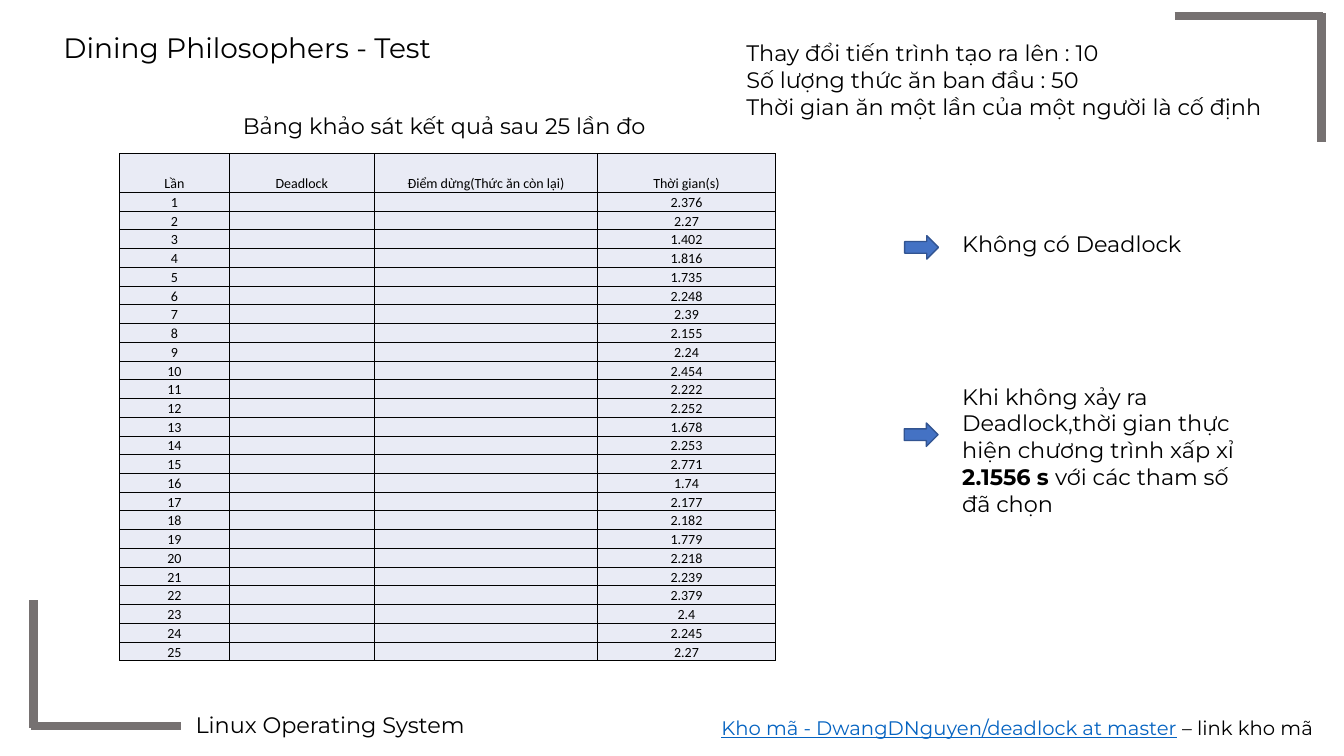
from lxml import etree
from pptx import Presentation
from pptx.dml.color import RGBColor
from pptx.enum import shapes, text
from pptx.oxml import ns
from pptx.util import Cm, Pt

FONT = "Montserrat"
TIMES = ["2.376", "2.27", "1.402", "1.816", "1.735", "2.248", "2.39", "2.155", "2.24",
         "2.454", "2.222", "2.252", "1.678", "2.253", "2.771", "1.74", "2.177", "2.182",
         "1.779", "2.218", "2.239", "2.379", "2.4", "2.245", "2.27"]
HEADERS = ["Lần", "Deadlock", "Điểm dừng(Thức ăn còn lại)", "Thời gian(s)"]


def rgb(value):
    return RGBColor.from_string(value)


def style(font, size, name=FONT, color="000000"):
    font.size, font.name = Pt(size), name
    font.color.rgb = rgb(color)


def add_corner(s, *lines):
    """Group the thick lines that form one corner of the frame."""
    grp = s.shapes.add_group_shape()
    for ends in lines:
        line = grp.shapes.add_connector(shapes.MSO_CONNECTOR.STRAIGHT, *map(Cm, ends))
        line.line.color.rgb = rgb("767171")
        line.line.width = Pt(6)
        etree.SubElement(line._element.spPr, ns.qn("a:effectLst"))


def add_text(s, x, y, w, h, *paragraphs, size=16):
    """Add a text box; each paragraph is a list of run texts. Return the runs."""
    tf = s.shapes.add_textbox(Cm(x), Cm(y), Cm(w), Cm(h)).text_frame
    tf.word_wrap = True
    tf.auto_size = text.MSO_AUTO_SIZE.SHAPE_TO_FIT_TEXT
    runs = []
    for i, parts in enumerate(paragraphs):
        p = tf.add_paragraph() if i else tf.paragraphs[0]
        style(p.font, size)
        for part in parts:
            r = p.add_run()
            r.text = part
            runs.append(r)
    return runs


def add_arrow(s, x, y):
    sp = s.shapes.add_shape(shapes.MSO_SHAPE.RIGHT_ARROW, Cm(x), Cm(y), Cm(0.85), Cm(0.59))
    sp.shadow.inherit = False
    sp.fill.solid()
    sp.fill.fore_color.rgb = rgb("4472C4")
    sp.line.color.rgb = rgb("325491")
    sp.line.width = Pt(1)


def border_cell(cell):
    tcPr = cell._tc.get_or_add_tcPr()
    for i, side in enumerate(("lnL", "lnR", "lnT", "lnB")):
        ln = etree.Element(ns.qn(f"a:{side}"), w=str(Pt(0.75)))
        fill = etree.SubElement(ln, ns.qn("a:solidFill"))
        etree.SubElement(fill, ns.qn("a:srgbClr"), val="000000")
        tcPr.insert(i, ln)


def fill_cell(cell, value):
    cell.fill.solid()
    cell.fill.fore_color.rgb = rgb("E9EBF5")
    border_cell(cell)
    cell.margin_left = cell.margin_right = cell.margin_top = Cm(0.02)
    cell.margin_bottom = 0
    cell.vertical_anchor = text.MSO_ANCHOR.BOTTOM
    p = cell.text_frame.paragraphs[0]
    p.alignment = text.PP_ALIGN.CENTER
    style(p.font, 10, "Calibri")
    if value:
        p.add_run().text = value
    else:  # keeps an empty row as low as a filled one
        etree.SubElement(p._p, ns.qn("a:endParaRPr"), sz="1000")


def add_results(s, x, y, widths, header_height, height):
    rows = [HEADERS] + [[str(n), "", "", t] for n, t in enumerate(TIMES, 1)]
    table = s.shapes.add_table(len(rows), len(widths), Cm(x), Cm(y),
                               Cm(sum(widths)), Cm(height)).table
    for column, width in zip(table.columns, widths):
        column.width = Cm(width)
    for i, row in enumerate(rows):
        table.rows[i].height = Cm((height - header_height) / len(TIMES) if i else header_height)
        for j, value in enumerate(row):
            fill_cell(table.cell(i, j), value)


def main():
    prs = Presentation()
    prs.slide_width, prs.slide_height = Cm(33.87), Cm(19.05)
    s = prs.slides.add_slide(prs.slide_layouts[6])

    # Frame corners
    add_corner(s, (29.6, 0.41, 33.35, 0.41), (33.3, 0.33, 33.3, 3.57))
    add_corner(s, (4.55, 18.29, 0.79, 18.29), (0.84, 18.34, 0.84, 15.11))

    # Title, footer and test parameters
    add_text(s, 4.68, 17.8, 16.99, 0.94, ["Linux Operating System"])
    add_text(s, 1.35, 0.64, 11.15, 1.12, ["Dining Philosophers - Test"], size=20)
    add_text(s, 18.56, 0.86, 14.4, 2.31,
             ["Thay đổi tiến trình tạo ra lên : 10"],
             ["Số lượng thức ăn ban đầu : 50"],
             ["Thời gian ăn một lần của một người là cố định"])

    # Conclusions
    add_arrow(s, 22.8, 5.94)
    add_text(s, 24, 5.67, 7.47, 0.94, ["Không có Deadlock"])
    add_arrow(s, 22.79, 10.66)
    runs = add_text(s, 24, 9.52, 7.47, 3.68,
                    ["Khi không xảy ra Deadlock,thời gian thực hiện chương trình xấp xỉ ",
                     "2.1556 s ", "với các tham số đã chọn"])
    runs[1].font.bold = True

    # Measurements
    add_results(s, 3.02, 3.87, [2.75, 3.67, 5.61, 4.5], 0.98, 12.78)
    add_text(s, 5.87, 2.69, 11.35, 0.94, ["Bảng khảo sát kết quả sau 25 lần đo"])

    # Source link
    link = add_text(s, 17.93, 17.91, 16.94, 0.86,
                    ["Kho mã - DwangDNguyen/deadlock at master", " – link kho mã"], size=14)[0]
    link.font.underline = True
    link.font.color.rgb = rgb("0563C1")

    prs.save("out.pptx")


if __name__ == "__main__":
    main()
